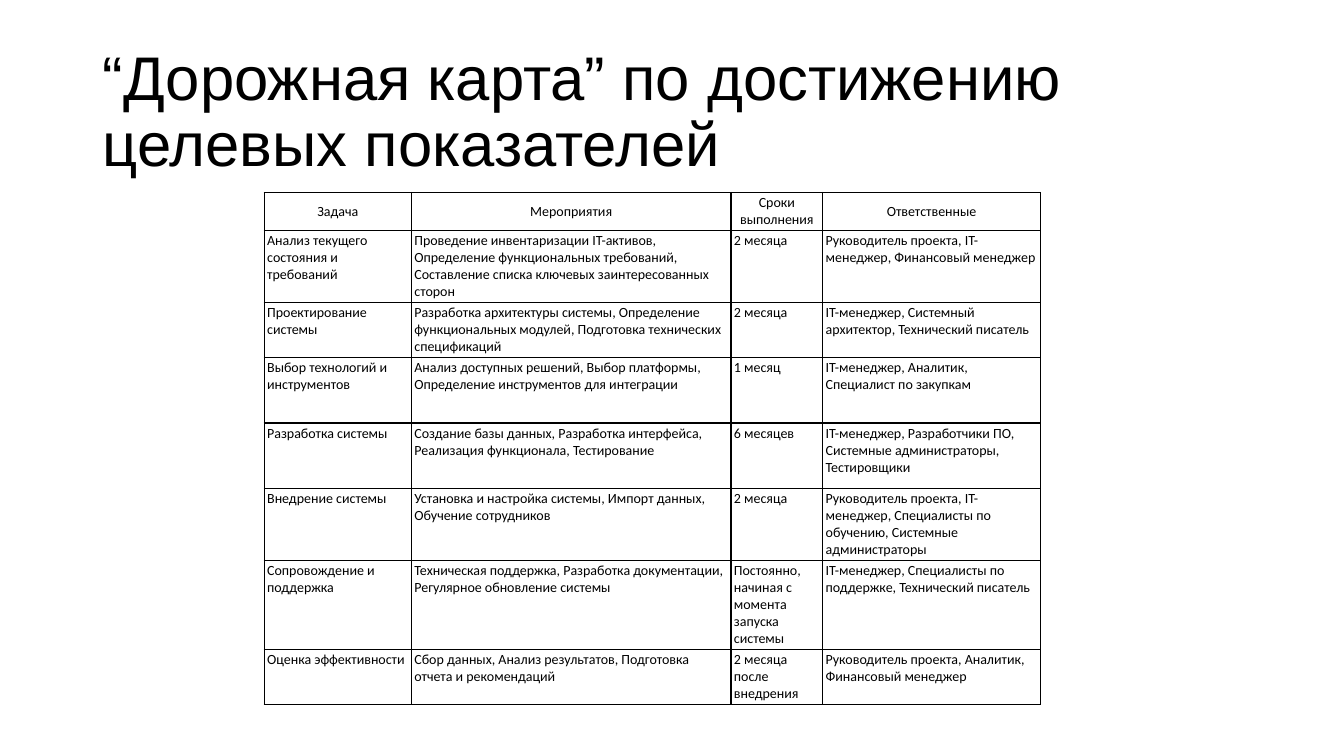
from lxml import etree
from pptx import Presentation
from pptx.dml.color import RGBColor
from pptx.enum.text import MSO_ANCHOR, MSO_AUTO_SIZE, PP_ALIGN
from pptx.oxml.ns import qn
from pptx.util import Inches, Pt

BLACK = RGBColor(0x00, 0x00, 0x00)
LEFT, CENTER = PP_ALIGN.LEFT, PP_ALIGN.CENTER
TOP, MIDDLE = MSO_ANCHOR.TOP, MSO_ANCHOR.MIDDLE
NO_FIT = MSO_AUTO_SIZE.NONE

TITLE = "“Дорожная карта” по достижению целевых показателей"
COLS = [1.46, 3.17, 0.91, 2.16]
ROWS = [0.14, 0.53, 0.44, 0.65, 0.65, 0.54, 0.65, 0.44]
PLAN = [
    ("Задача", "Мероприятия", "Сроки выполнения", "Ответственные"),
    ("Анализ текущего состояния и требований",
     "Проведение инвентаризации IT-активов, Определение функциональных "
     "требований, Составление списка ключевых заинтересованных сторон",
     "2 месяца",
     "Руководитель проекта, IT-менеджер, Финансовый менеджер"),
    ("Проектирование системы",
     "Разработка архитектуры системы, Определение функциональных модулей, "
     "Подготовка технических спецификаций",
     "2 месяца",
     "IT-менеджер, Системный архитектор, Технический писатель"),
    ("Выбор технологий и инструментов",
     "Анализ доступных решений, Выбор платформы, "
     "Определение инструментов для интеграции",
     "1 месяц",
     "IT-менеджер, Аналитик, Специалист по закупкам"),
    ("Разработка системы",
     "Создание базы данных, Разработка интерфейса, "
     "Реализация функционала, Тестирование",
     "6 месяцев",
     "IT-менеджер, Разработчики ПО, Системные администраторы, Тестировщики"),
    ("Внедрение системы",
     "Установка и настройка системы, Импорт данных, Обучение сотрудников",
     "2 месяца",
     "Руководитель проекта, IT-менеджер, Специалисты по обучению, "
     "Системные администраторы"),
    ("Сопровождение и поддержка",
     "Техническая поддержка, Разработка документации, "
     "Регулярное обновление системы",
     "Постоянно, начиная с момента запуска системы",
     "IT-менеджер, Специалисты по поддержке, Технический писатель"),
    ("Оценка эффективности",
     "Сбор данных, Анализ результатов, Подготовка отчета и рекомендаций",
     "2 месяца после внедрения",
     "Руководитель проекта, Аналитик, Финансовый менеджер"),
]


def put_text(frame, text, size=10, font="Calibri", color=BLACK,
             align=LEFT, spacing=None):
    para = frame.paragraphs[0]
    para.alignment = align
    para.line_spacing = spacing
    run = para.add_run()
    run.text = text
    run.font.size = Pt(size)
    run.font.name = font
    run.font.color.rgb = color


def add_border(cell, color=BLACK, width=1):
    props = cell._tc.get_or_add_tcPr()
    for side in ("a:lnL", "a:lnR", "a:lnT", "a:lnB"):
        line = etree.SubElement(props, qn(side), w=str(Pt(width)))
        fill = etree.SubElement(line, qn("a:solidFill"))
        etree.SubElement(fill, qn("a:srgbClr"), val=str(color))


def add_title(slide, x, y, w, h):
    title = slide.shapes.title
    title.left, title.top = Inches(x), Inches(y)
    title.width, title.height = Inches(w), Inches(h)
    frame = title.text_frame
    frame.word_wrap = True
    frame.auto_size = NO_FIT
    frame.vertical_anchor = MIDDLE
    put_text(frame, TITLE, size=44, font="Arial", spacing=0.9)


def add_plan(slide, x, y, w, h):
    shape = slide.shapes.add_table(len(PLAN), len(COLS), Inches(x), Inches(y),
                                   Inches(w), Inches(h))
    table = shape.table
    table.first_row = table.horz_banding = False
    for col, width in zip(table.columns, COLS):
        col.width = Inches(width)
    for row, height in zip(table.rows, ROWS):
        row.height = Inches(height)
    shape.height = Inches(h)

    # Cells: centred header row, then the tasks
    for r, texts in enumerate(PLAN):
        for c, text in enumerate(texts):
            cell = table.cell(r, c)
            cell.margin_left = cell.margin_right = Inches(0.03)
            cell.margin_top = cell.margin_bottom = Inches(0.02)
            cell.vertical_anchor = TOP if r else MIDDLE
            add_border(cell)
            cell.fill.background()
            put_text(cell.text_frame, text, align=LEFT if r else CENTER)


def main():
    deck = Presentation()
    deck.slide_width, deck.slide_height = Inches(13.33), Inches(7.5)
    slide = deck.slides.add_slide(deck.slide_layouts[5])
    add_title(slide, 0.92, 0.4, 11.5, 1.45)
    add_plan(slide, 2.62, 1.91, 7.69, 5)
    deck.save("out.pptx")


if __name__ == "__main__":
    main()
